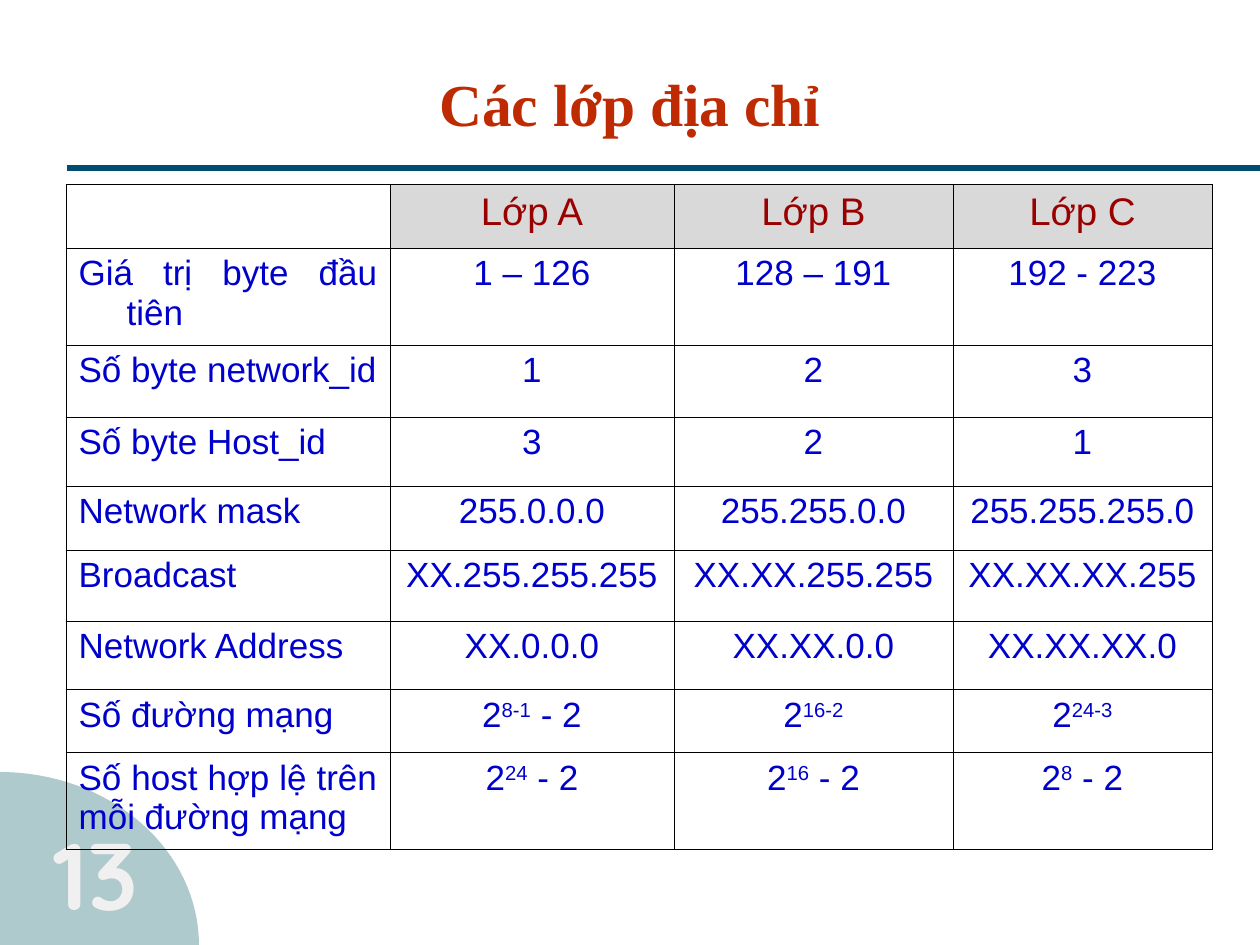
import math
from dataclasses import dataclass
from typing import Optional

from lxml import etree
from pptx import Presentation, util as u
from pptx.dml.color import RGBColor
from pptx.enum import shapes, text
from pptx.oxml.ns import qn

TEAL = RGBColor(0xAF, 0xCA, 0xCD)
NAVY = RGBColor(0x00, 0x4D, 0x71)
RUST = RGBColor(0xBE, 0x2A, 0x02)
PALE = RGBColor(0xF0, 0xF0, 0xF0)
GREY = RGBColor(0xD9, 0xD9, 0xD9)
MAROON = RGBColor(0x99, 0x00, 0x00)
BLUE = RGBColor(0x00, 0x00, 0xCC)

LEFT, CENTER, RIGHT, JUSTIFY = (text.PP_ALIGN.LEFT, text.PP_ALIGN.CENTER,
                                text.PP_ALIGN.RIGHT, text.PP_ALIGN.JUSTIFY)
HANGING = 48
COLUMN_WIDTHS = (324, 284, 279, 259)


@dataclass(frozen=True)
class Style:
    size: int
    font: str
    color: RGBColor
    bold: bool = False


@dataclass(frozen=True)
class Row:
    height: int
    label: str
    values: tuple[str, str, str]
    style: Style
    fill: Optional[RGBColor] = None
    align: text.PP_ALIGN = JUSTIFY
    hanging: int = HANGING


TITLE = Style(34, "Times New Roman", RUST, True)
NUMBER = Style(54, "Quicksand", PALE, True)
HEADER = Style(22, "Arial", MAROON)
BODY = Style(20, "Arial", BLUE)

# Text between two carets is superscript.
ROWS = (
    Row(64, "", ("Lớp A", "Lớp B", "Lớp C"), HEADER, GREY),
    Row(97, "Giá trị byte đầu tiên", ("1 – 126", "128 – 191", "192 - 223"), BODY),
    Row(72, "Số byte network_id", ("1", "2", "3"), BODY, align=LEFT, hanging=0),
    Row(69, "Số byte Host_id", ("3", "2", "1"), BODY),
    Row(64, "Network mask", ("255.0.0.0", "255.255.0.0", "255.255.255.0"), BODY),
    Row(71, "Broadcast", ("XX.255.255.255", "XX.XX.255.255", "XX.XX.XX.255"), BODY),
    Row(69, "Network Address", ("XX.0.0.0", "XX.XX.0.0", "XX.XX.XX.0"), BODY),
    Row(63, "Số đường mạng", ("2^8-1^ - 2", "2^16-2^", "2^24-3^"), BODY),
    Row(97, "Số host hợp lệ trên mỗi đường mạng",
        ("2^24^ - 2", "2^16^ - 2", "2^8^ - 2"), BODY, hanging=0),
)


def px(n: float) -> u.Emu:
    return u.Emu(round(n * 914400 / 126))


def write(p, content: str, style: Style, align: text.PP_ALIGN, hanging: int = 0) -> None:
    """Fill a paragraph run by run, raising the parts between carets."""
    p.alignment = align
    if hanging:
        pPr = p._p.get_or_add_pPr()
        pPr.set("marL", str(px(hanging)))
        pPr.set("indent", str(-px(hanging)))
    for i, part in enumerate(content.split("^")):
        if not part:
            continue
        r = p.add_run()
        r.text = part
        r.font.size = u.Pt(style.size)
        r.font.name = style.font
        r.font.bold = style.bold
        r.font.color.rgb = style.color
        if i % 2:
            r._r.get_or_add_rPr().set("baseline", "30000")


def add_text(s, x: int, y: int, w: int, h: int, content: str, style: Style,
             align: text.PP_ALIGN, anchor: text.MSO_ANCHOR) -> None:
    tf = s.shapes.add_textbox(px(x), px(y), px(w), px(h)).text_frame
    tf.word_wrap = True
    tf.vertical_anchor = anchor
    write(tf.paragraphs[0], content, style, align)


def add_corner(s, rx: int, ry: int, bottom: int, steps: int = 32) -> None:
    """Draw a quarter ellipse in the lower left corner."""
    angles = [math.pi / 2 * i / steps for i in range(steps + 1)]
    arc = [(px(rx * math.sin(a)), px(bottom - ry * math.cos(a))) for a in angles]
    builder = s.shapes.build_freeform(0, px(bottom))
    builder.add_line_segments(arc, close=True)
    sp = builder.convert_to_shape()
    sp.shadow.inherit = False
    sp.fill.solid()
    sp.fill.fore_color.rgb = TEAL
    sp.line.fill.background()


def add_rule(s, x1: int, x2: int, y: int) -> None:
    line = s.shapes.add_connector(shapes.MSO_CONNECTOR.STRAIGHT,
                                  px(x1), px(y), px(x2), px(y))
    line.line.color.rgb = NAVY
    line.line.width = u.Pt(3.25)
    etree.SubElement(line._element.spPr, qn("a:effectLst"))


def add_borders(cell) -> None:
    tcPr = cell._tc.get_or_add_tcPr()
    for i, side in enumerate(("lnL", "lnR", "lnT", "lnB")):
        ln = etree.Element(qn(f"a:{side}"), w=str(u.Pt(0.45)))
        fill = etree.SubElement(ln, qn("a:solidFill"))
        etree.SubElement(fill, qn("a:srgbClr"), val="000000")
        tcPr.insert(i, ln)


def add_class_table(s, x: int, y: int) -> None:
    height = sum(row.height for row in ROWS)
    table = s.shapes.add_table(len(ROWS), len(COLUMN_WIDTHS), px(x), px(y),
                               px(sum(COLUMN_WIDTHS)), px(height)).table
    table.first_row = table.horz_banding = False
    for column, width in zip(table.columns, COLUMN_WIDTHS):
        column.width = px(width)
    for i, row in enumerate(ROWS):
        table.rows[i].height = px(row.height)
        for j, content in enumerate((row.label, *row.values)):
            cell = table.cell(i, j)
            if row.fill and j:
                cell.fill.solid()
                cell.fill.fore_color.rgb = row.fill
            else:
                cell.fill.background()
            add_borders(cell)
            align, hanging = (CENTER, HANGING) if j else (row.align, row.hanging)
            write(cell.text_frame.paragraphs[0], content, row.style, align, hanging)


def main() -> None:
    prs = Presentation()
    prs.slide_width, prs.slide_height = px(1260), px(945)
    s = prs.slides.add_slide(prs.slide_layouts[6])
    add_corner(s, 199, 173, 945)
    add_rule(s, 67, 1260, 168)
    add_text(s, 0, 810, 150, 129, "13", NUMBER, RIGHT, text.MSO_ANCHOR.TOP)
    add_text(s, 63, 38, 1134, 130, "Các lớp địa chỉ", TITLE, CENTER,
             text.MSO_ANCHOR.MIDDLE)
    add_class_table(s, 66, 184)
    prs.save("out.pptx")


if __name__ == "__main__":
    main()
